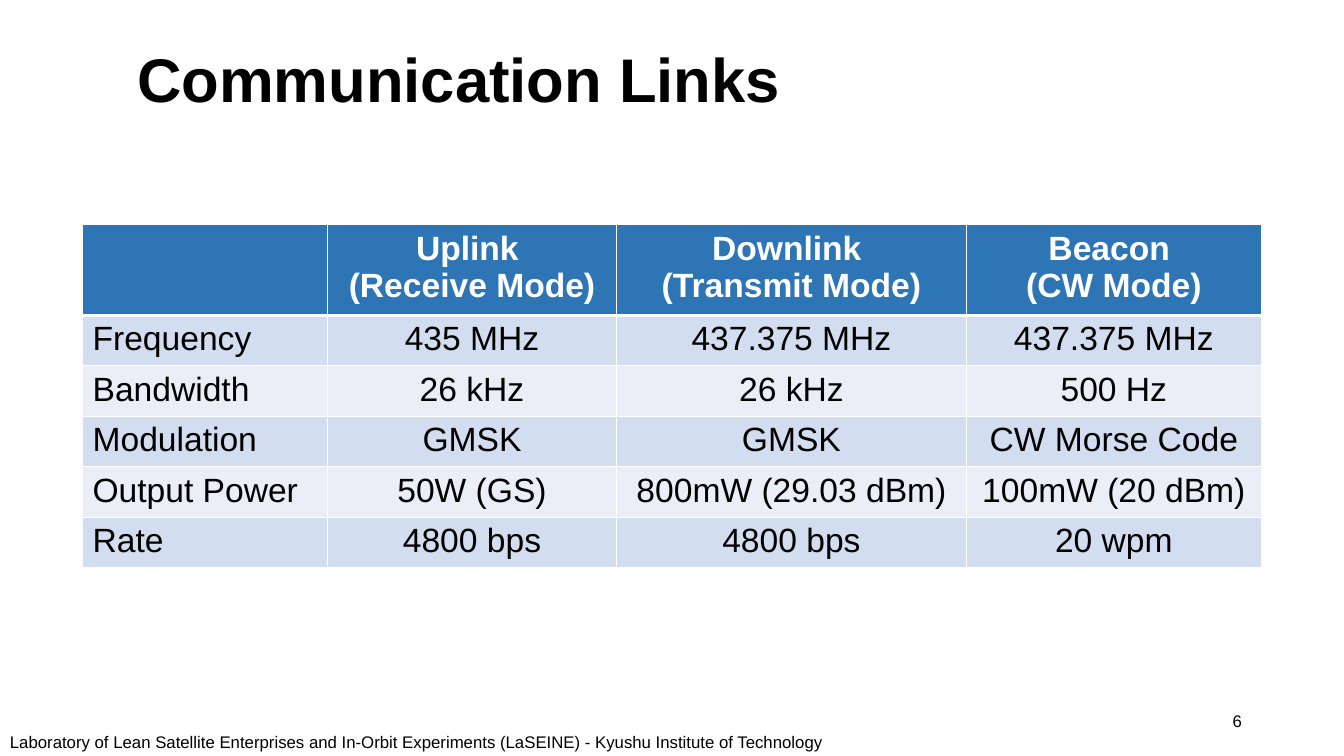
from dataclasses import dataclass

import pptx
import pptx.dml.color
import pptx.enum.text
import pptx.oxml
import pptx.oxml.ns
import pptx.util
from pptx.util import Cm

FONT = "Arial"
BLACK, WHITE = "000000", "FFFFFF"
HEADER_FILL = "2E75B6"
BAND_FILLS = ("D2DEEF", "EAEFF7")
THIN, THICK = 1, 3
ALIGN = pptx.enum.text.PP_ALIGN
MIDDLE = pptx.enum.text.MSO_ANCHOR.MIDDLE


@dataclass
class Box:
    left: float
    top: float
    width: float
    height: float

    def lengths(self) -> tuple:
        return Cm(self.left), Cm(self.top), Cm(self.width), Cm(self.height)


@dataclass
class Label:
    text: str
    box: Box
    align: ALIGN = ALIGN.LEFT
    anchor: pptx.enum.text.MSO_ANCHOR = MIDDLE
    margins: tuple = (0.25, 0.13, 0.25, 0.13)
    space_before: float = 0


@dataclass
class LinkProperty:
    name: str
    uplink: str
    downlink: str
    beacon: str

    def texts(self) -> tuple:
        return self.name, self.uplink, self.downlink, self.beacon


TITLE_BOX = Box(3.2, 1.02, 27.48, 2.1)
COLUMN_WIDTHS = (6.17, 7.29, 8.81, 7.44)
HEADER_HEIGHT, ROW_HEIGHT = 2.14, 1.2

LABELS = [
    Label("Laboratory of Lean Satellite Enterprises and In-Orbit Experiments "
          "(LaSEINE) - Kyushu Institute of Technology",
          Box(0.25, 18.36, 20.73, 0.58), anchor=pptx.enum.text.MSO_ANCHOR.TOP,
          margins=(0, 0.08, 0, 0), space_before=1.9),
    Label("6", Box(23.93, 17.65, 7.62, 1.02), align=ALIGN.RIGHT),
]

LINK_TABLE = [
    LinkProperty("", "Uplink \n(Receive Mode)", "Downlink \n(Transmit Mode)",
                 "Beacon \n(CW Mode)"),
    LinkProperty("Frequency", "435 MHz", "437.375 MHz", "437.375 MHz"),
    LinkProperty("Bandwidth", "26 kHz", "26 kHz", "500 Hz"),
    LinkProperty("Modulation", "GMSK", "GMSK", "CW Morse Code"),
    LinkProperty("Output Power", "50W (GS)", "800mW (29.03 dBm)", "100mW (20 dBm)"),
    LinkProperty("Rate", "4800 bps", "4800 bps", "20 wpm"),
]


def rgb(color: str) -> pptx.dml.color.RGBColor:
    return pptx.dml.color.RGBColor.from_string(color)


def format_text(text_frame, size: float, color: str = BLACK, bold: bool = False,
                align: ALIGN = ALIGN.LEFT) -> None:
    for paragraph in text_frame.paragraphs:
        paragraph.alignment = align
        for run in paragraph.runs:
            run.font.name = FONT
            run.font.size = pptx.util.Pt(size)
            run.font.bold = bold
            run.font.color.rgb = rgb(color)


def add_title(slide, text: str) -> None:
    title = slide.shapes.title
    title.left, title.top, title.width, title.height = TITLE_BOX.lengths()
    title.text_frame.text = text
    title.text_frame.vertical_anchor = MIDDLE
    title.text_frame.paragraphs[0].line_spacing = 0.9
    format_text(title.text_frame, 44, bold=True)


def add_label(slide, label: Label) -> None:
    text_frame = slide.shapes.add_textbox(*label.box.lengths()).text_frame
    text_frame.word_wrap = True
    text_frame.vertical_anchor = label.anchor
    (text_frame.margin_left, text_frame.margin_top,
     text_frame.margin_right, text_frame.margin_bottom) = map(Cm, label.margins)
    text_frame.text = label.text
    text_frame.paragraphs[0].space_before = pptx.util.Pt(label.space_before)
    format_text(text_frame, 12, align=label.align)


def set_borders(cell, top: float, bottom: float) -> None:
    """Draw white borders, in the order the cell properties require."""
    properties = cell._tc.get_or_add_tcPr()
    widths = {"lnL": THIN, "lnR": THIN, "lnT": top, "lnB": bottom}
    for index, (side, width) in enumerate(widths.items()):
        border = pptx.oxml.parse_xml(
            f'<a:{side} {pptx.oxml.ns.nsdecls("a")} w="{pptx.util.Pt(width)}">'
            f'<a:solidFill><a:srgbClr val="{WHITE}"/></a:solidFill></a:{side}>')
        properties.insert(index, border)


def add_link_table(slide) -> None:
    height = HEADER_HEIGHT + ROW_HEIGHT * (len(LINK_TABLE) - 1)
    box = Box(2.08, 5.66, sum(COLUMN_WIDTHS), height)
    table = slide.shapes.add_table(
        len(LINK_TABLE), len(COLUMN_WIDTHS), *box.lengths()).table
    for column, width in zip(table.columns, COLUMN_WIDTHS):
        column.width = Cm(width)
    for row_index, link_property in enumerate(LINK_TABLE):
        header = row_index == 0
        table.rows[row_index].height = Cm(HEADER_HEIGHT if header else ROW_HEIGHT)
        fill = HEADER_FILL if header else BAND_FILLS[(row_index - 1) % 2]
        for column_index, text in enumerate(link_property.texts()):
            cell = table.cell(row_index, column_index)
            cell.text_frame.text = text
            format_text(cell.text_frame, 24, WHITE if header else BLACK, header,
                        ALIGN.CENTER if column_index else ALIGN.LEFT)
            cell.fill.solid()
            cell.fill.fore_color.rgb = rgb(fill)
            set_borders(cell, top=THICK if row_index == 1 else THIN,
                        bottom=THICK if header else THIN)


def main() -> None:
    presentation = pptx.Presentation()
    presentation.slide_width, presentation.slide_height = Cm(33.87), Cm(19.05)
    slide = presentation.slides.add_slide(presentation.slide_layouts[5])
    add_title(slide, "Communication Links")
    for label in LABELS:
        add_label(slide, label)
    add_link_table(slide)
    presentation.save("out.pptx")


if __name__ == "__main__":
    main()
